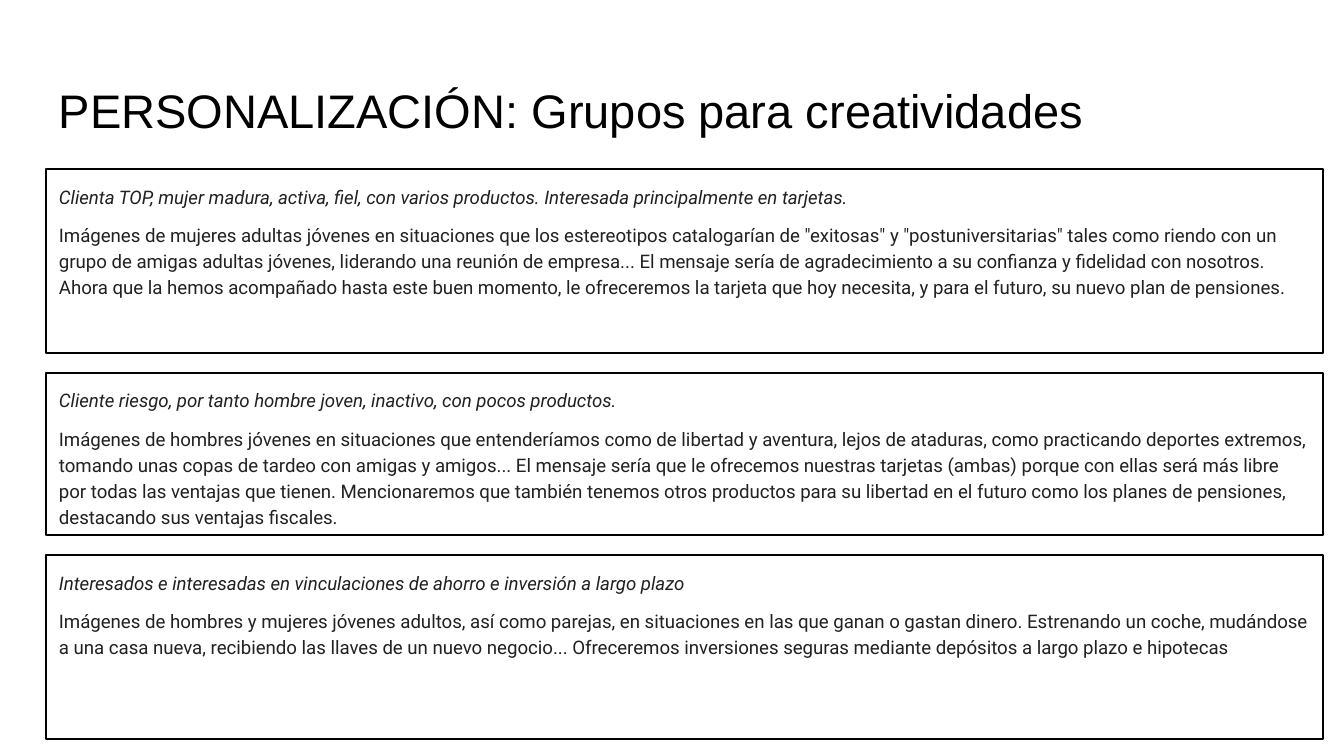
import pptx
import pptx.dml.color
import pptx.enum.shapes
import pptx.enum.text
import pptx.util
from dataclasses import dataclass

PX = 914400 / 134.4  # EMU per px


@dataclass(frozen=True)
class Theme:
    black: str = "000000"
    text: str = "212121"
    title_font: str = "Arial"
    body_font: str = "Roboto"
    title_size: float = 25.2
    body_size: float = 10
    border: float = 0.75
    para_gap: float = 7
    line_spacing: float = 1.15


THEME = Theme()
LEFT, TOP, GAP = 46, 169, 20
CARD_WIDTH = 1277
INSET = 13

TITLE = "PERSONALIZACIÓN: Grupos para creatividades"

# Height, audience, creative proposal
GROUPS = [
    (184,
     "Clienta TOP, mujer madura, activa, fiel, con varios productos. "
     "Interesada principalmente en tarjetas.",
     "Imágenes de mujeres adultas jóvenes en situaciones que los estereotipos "
     "catalogarían de \"exitosas\" y \"postuniversitarias\" tales como riendo con un "
     "grupo de amigas adultas jóvenes, liderando una reunión de empresa... El mensaje "
     "sería de agradecimiento a su confianza y fidelidad con nosotros. Ahora que la "
     "hemos acompañado hasta este buen momento, le ofreceremos la tarjeta que hoy "
     "necesita, y para el futuro, su nuevo plan de pensiones."),
    (162,
     "Cliente riesgo, por tanto hombre joven, inactivo, con pocos productos.",
     "Imágenes de hombres jóvenes en situaciones que entenderíamos como de libertad y "
     "aventura, lejos de ataduras, como practicando deportes extremos, tomando unas "
     "copas de tardeo con amigas y amigos... El mensaje sería que le ofrecemos nuestras "
     "tarjetas (ambas) porque con ellas será más libre por todas las ventajas que "
     "tienen. Mencionaremos que también tenemos otros productos para su libertad en el "
     "futuro como los planes de pensiones, destacando sus ventajas fiscales."),
    (184,
     "Interesados e interesadas en vinculaciones de ahorro e inversión a largo plazo",
     "Imágenes de hombres y mujeres jóvenes adultos, así como parejas, en situaciones "
     "en las que ganan o gastan dinero. Estrenando un coche, mudándose a una casa "
     "nueva, recibiendo las llaves de un nuevo negocio... Ofreceremos inversiones "
     "seguras mediante depósitos a largo plazo e hipotecas"),
]


def px(n):
    return pptx.util.Emu(round(n * PX))


def rgb(value):
    return pptx.dml.color.RGBColor.from_string(value)


def set_frame(tf, anchor):
    tf.word_wrap = True
    tf.vertical_anchor = anchor
    tf.margin_left = tf.margin_right = tf.margin_top = tf.margin_bottom = px(INSET)


def add_run(p, text, font, size, color, italic=False):
    r = p.add_run()
    r.text = text
    r.font.name = font
    r.font.size = pptx.util.Pt(size)
    r.font.color.rgb = rgb(color)
    r.font.italic = italic


def add_title(s, text):
    sp = s.shapes.add_textbox(px(LEFT), px(66), px(1253), px(85))
    set_frame(sp.text_frame, pptx.enum.text.MSO_ANCHOR.BOTTOM)
    add_run(sp.text_frame.paragraphs[0], text,
            THEME.title_font, THEME.title_size, THEME.black)


def add_card(s, top, height, audience, proposal):
    sp = s.shapes.add_shape(pptx.enum.shapes.MSO_SHAPE.RECTANGLE,
                            px(LEFT), px(top), px(CARD_WIDTH), px(height))
    sp.shadow.inherit = False
    sp.fill.background()
    sp.line.color.rgb = rgb(THEME.black)
    sp.line.width = pptx.util.Pt(THEME.border)
    tf = sp.text_frame
    set_frame(tf, pptx.enum.text.MSO_ANCHOR.TOP)
    heading, body = tf.paragraphs[0], tf.add_paragraph()
    body.space_before = pptx.util.Pt(THEME.para_gap)
    for p, text, italic in ((heading, audience, True), (body, proposal, False)):
        p.alignment = pptx.enum.text.PP_ALIGN.LEFT
        p.line_spacing = THEME.line_spacing
        add_run(p, text, THEME.body_font, THEME.body_size, THEME.text, italic)


def main():
    prs = pptx.Presentation()
    prs.slide_width, prs.slide_height = px(1344), px(756)
    s = prs.slides.add_slide(prs.slide_layouts[6])
    add_title(s, TITLE)
    top = TOP
    for height, audience, proposal in GROUPS:
        add_card(s, top, height, audience, proposal)
        top += height + GAP
    prs.save("out.pptx")


if __name__ == "__main__":
    main()
